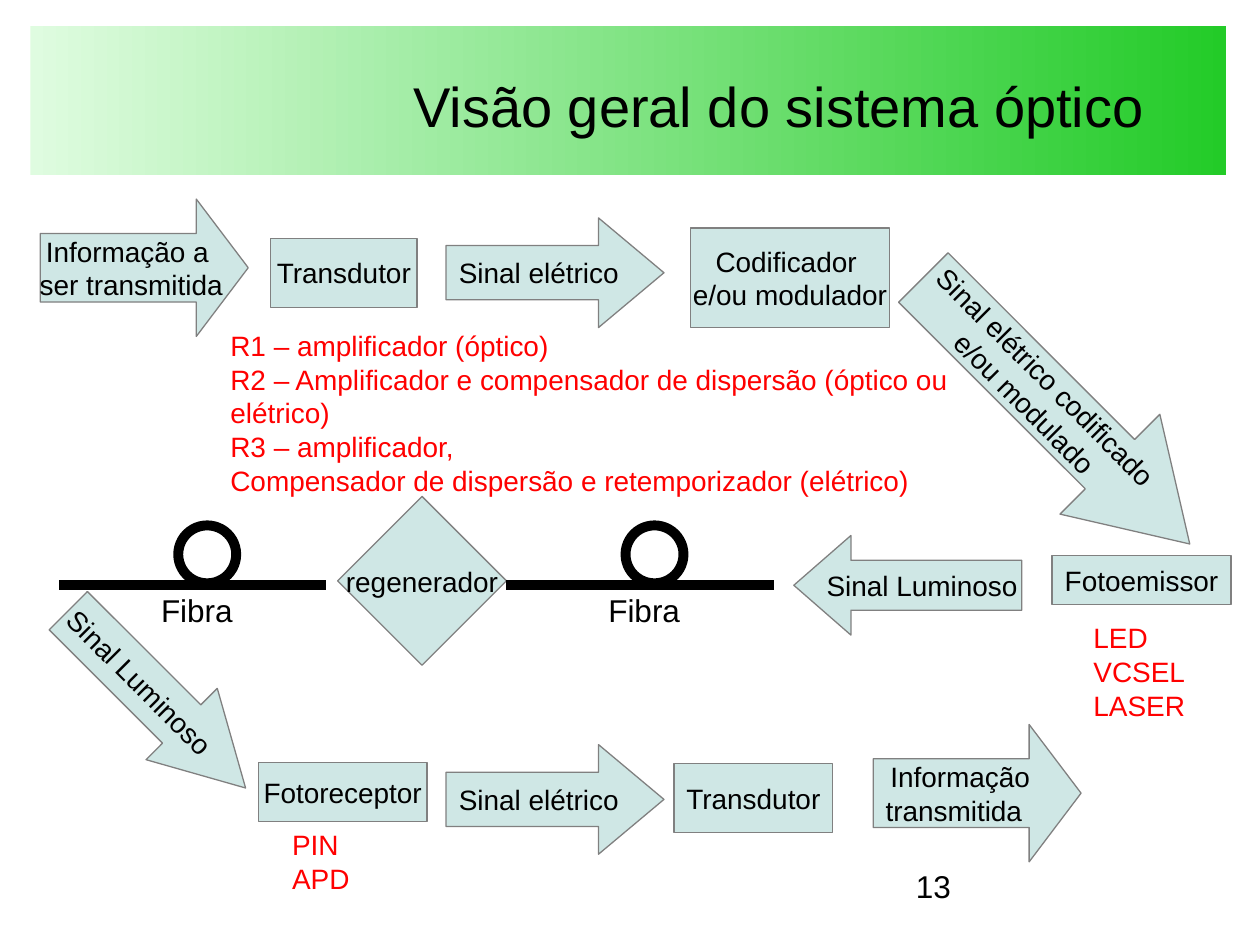
from pptx import Presentation
from pptx.dml.color import RGBColor
from pptx.enum.shapes import MSO_CONNECTOR, MSO_SHAPE as Shape
from pptx.enum.text import MSO_ANCHOR as Anchor, MSO_AUTO_SIZE as AutoSize, PP_ALIGN as Align
from pptx.oxml.ns import qn
from pptx.util import Inches, Pt
from lxml.etree import SubElement

deck = Presentation()
deck.slide_width, deck.slide_height = Inches(10), Inches(7.5)
column, row = deck.slide_width / 100, deck.slide_height / 75
slide = deck.slides.add_slide(deck.slide_layouts[5])

rgb = RGBColor.from_string


def grid(left, top, width, height):
    return [round(n * unit) for n, unit in zip((left, top, width, height), (column, row) * 2)]


def write(holder, lines, size, color, aligns=(Align.LEFT,), **frame_format):
    frame = holder.text_frame
    frame_values = {"auto_size": AutoSize.NONE, "word_wrap": True, "vertical_anchor": Anchor.TOP}
    for key, value in {**frame_values, **frame_format}.items():
        setattr(frame, key, value)
    frame.text = "\n".join(lines)
    for index, paragraph in enumerate(frame.paragraphs):
        paragraph.alignment = aligns[min(index, len(aligns) - 1)]
        for key, value in {"name": "Arial", "size": Pt(size), "bold": False}.items():
            setattr(paragraph.font, key, value)
        paragraph.font.color.rgb = rgb(color)


band = slide.shapes.add_shape(Shape.RECTANGLE, *grid(2.4, 2.1, 94.9, 11.8))
band.shadow.inherit = False
band.line.fill.background()
band.fill.gradient()
band.fill.gradient_angle = 0
for stop, color in zip(band.fill.gradient_stops, ("DFFCE0", "23CB28")):
    stop.color.rgb = rgb(color)
title = slide.shapes.title
title._element.addprevious(band._element)
for key, value in zip(("left", "top", "width", "height"), grid(31.8, 4.9, 61.1, 6.9)):
    setattr(title, key, value)
write(title, ["Visão geral do sistema óptico"], 32, "000000", vertical_anchor=Anchor.MIDDLE)

electric, information = (0.495, 0.597), (0.5, 0.378)
centered = (Align.CENTER,)
stages = [
    (Shape.RECTANGLE, (83.5, 44.1, 14.2, 3.9), (), 0, ["Fotoemissor"], centered),
    (Shape.RECTANGLE, (20.5, 60.5, 13.4, 4.7), (), 0, ["Fotoreceptor"], centered),
    (Shape.RECTANGLE, (21.5, 18.9, 11.6, 5.5), (), 0, ["Transdutor"], centered),
    (Shape.RECTANGLE, (53.5, 60.6, 12.6, 5.5), (), 0, ["Transdutor"], centered),
    (Shape.RECTANGLE, (54.8, 18.1, 15.8, 7.9), (), 0, ["Codificador ", "e/ou modulador"], centered),
    (Shape.RIGHT_ARROW, (35.4, 17.3, 17.3, 8.7), electric, 0, ["Sinal elétrico"], centered),
    (Shape.RIGHT_ARROW, (35.4, 59.1, 17.3, 8.7), electric, 0, ["Sinal elétrico"], centered),
    (Shape.RIGHT_ARROW, (3.2, 15.8, 16.5, 10.9), information, 0,
     ["Informação a ", "ser transmitida"], centered),
    (Shape.RIGHT_ARROW, (69.3, 57.5, 16.5, 10.9), information, 0,
     ["Informação ", "transmitida"], (Align.CENTER, Align.JUSTIFY)),
    (Shape.RIGHT_ARROW, (2.5, 51.5, 19.9, 8), (0.537, 0.897), 45, ["Sinal Luminoso"], centered),
    (Shape.RIGHT_ARROW, (68.9, 27, 29.9, 11.2), (0.495, 0.799), 45,
     ["Sinal elétrico codificado ", "e/ou modulado"], centered),
    (Shape.LEFT_ARROW, (63, 42.5, 18.1, 7.9), (0.5, 0.574), 0, ["Sinal Luminoso"], centered),
    (Shape.DIAMOND, (26.8, 39.4, 13.4, 13.4), (), 0, ["regenerador"], centered),
]
for kind, cell, adjustments, angle, lines, aligns in stages:
    stage = slide.shapes.add_shape(kind, *grid(*cell))
    stage.shadow.inherit = False
    stage.rotation = angle
    for index, value in enumerate(adjustments):
        stage.adjustments[index] = value
    stage.fill.solid()
    stage.fill.fore_color.rgb = rgb("CFE7E5")
    stage.line.color.rgb = rgb("808080")
    stage.line.width = Pt(0.75)
    write(stage, lines, 16, "000000", aligns, word_wrap=False, vertical_anchor=Anchor.MIDDLE)

for start in (4.7, 40.2):
    fiber = slide.shapes.add_group_shape()
    left, top, length, _ = grid(start, 46.4, 21.2, 0)
    cable = fiber.shapes.add_connector(MSO_CONNECTOR.STRAIGHT, left, top, left + length, top)
    SubElement(cable._element.spPr, qn("a:effectLst"))
    loop = fiber.shapes.add_shape(Shape.OVAL, *grid(start + 9.45, 41.7, 4.6, 4.6))
    loop.shadow.inherit = False
    loop.fill.background()
    for stroke in (cable.line, loop.line):
        stroke.color.rgb = rgb("000000")
        stroke.width = Pt(5.67)
    write(fiber.shapes.add_textbox(*grid(start + 7.1, 46.4, 8.6, 3.9)), ["Fibra"], 18, "000000")

notes = [
    ((85.8, 48.8, 11.8, 9), 16, "FF0000", ["LED", "VCSEL", "LASER"]),
    ((17.3, 25.6, 59.1, 14.3), 16, "FF0000", [
        "R1 – amplificador (óptico)",
        "R2 – Amplificador e compensador de dispersão (óptico ou elétrico)",
        "R3 – amplificador,",
        "Compensador de dispersão e retemporizador (elétrico)",
    ]),
    ((22.2, 65.2, 11.8, 6.3), 16, "FF0000", ["PIN", "APD"]),
    ((71.7, 68.3, 23.3, 5.1), 18, "000000", ["13"]),
]
for cell, size, color, lines in notes:
    write(slide.shapes.add_textbox(*grid(*cell)), lines, size, color)

deck.save("out.pptx")
